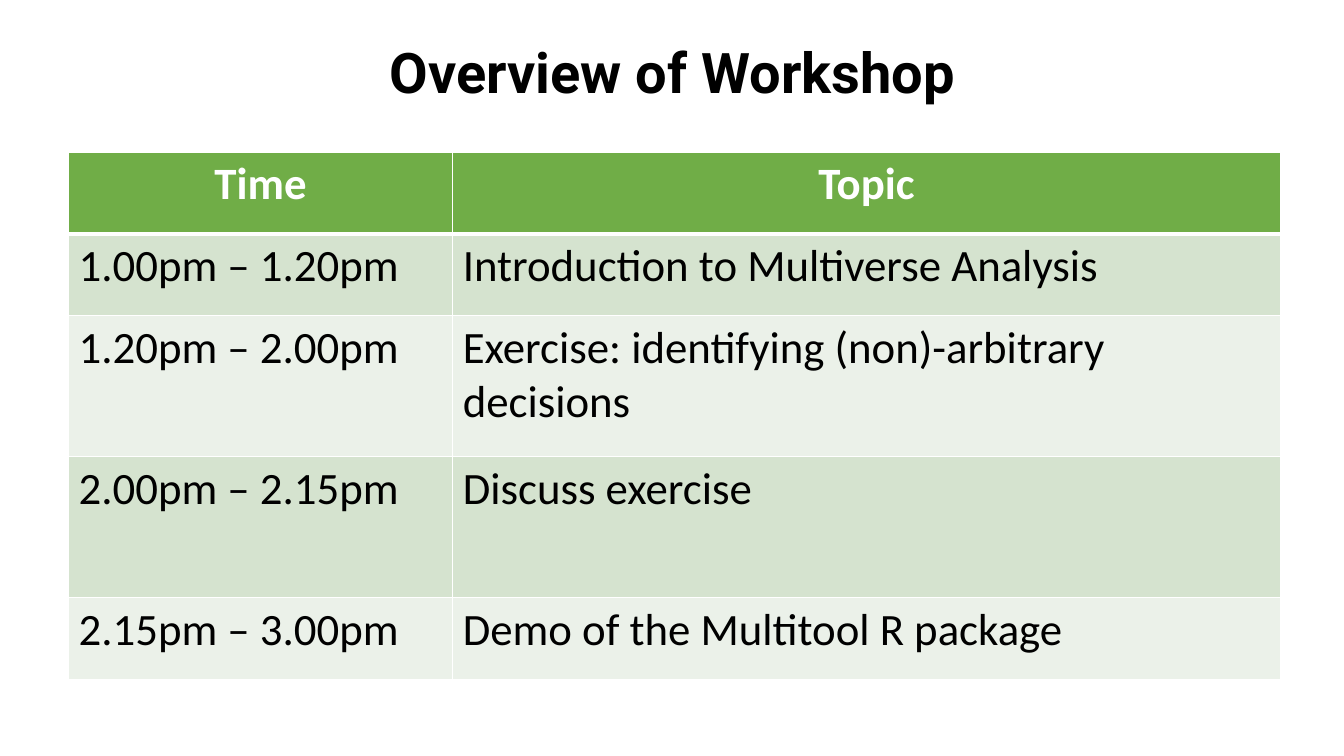
import pptx
import pptx.util
import pptx.oxml
import pptx.oxml.ns
import pptx.dml.color
import pptx.enum.text

WIDE, HIGH = 13.33, 7.5
COLORS = {"head": "70AD47", "odd": "D5E3CF", "even": "EBF1E9",
          "white": "FFFFFF", "black": "000000"}
COLS = [3.81, 8.21]
ROWS = [0.81, 0.81, 1.4, 1.4, 0.81]
PLAN = [
    ("Time", "Topic"),
    ("1.00pm – 1.20pm", "Introduction to Multiverse Analysis"),
    ("1.20pm – 2.00pm", "Exercise: identifying (non)-arbitrary decisions"),
    ("2.00pm – 2.15pm", "Discuss exercise"),
    ("2.15pm – 3.00pm", "Demo of the Multitool R package"),
]
ALIGN = pptx.enum.text.PP_ALIGN
inch = pptx.util.Inches


def paint(name):
    """Return the named colour."""
    return pptx.dml.color.RGBColor.from_string(COLORS[name])


def write(frame, text, face, size, color, bold, align):
    """Put one styled paragraph in a text frame."""
    frame.text = text
    para = frame.paragraphs[0]
    para.alignment = align
    font = para.font
    font.name, font.size, font.bold = face, pptx.util.Pt(size), bold
    font.color.rgb = paint(color)
    return para


def title(slide, text):
    """Add the centred slide title."""
    box = slide.shapes.add_textbox(
        inch(0.92), inch(0.4), inch(11.5), inch(1.45))
    box.text_frame.word_wrap = True
    para = write(box.text_frame, text, "Roboto", 40, "black", True, ALIGN.CENTER)
    para.line_spacing = 0.9


def edge(cell, side, width):
    """Add a white border to one side of a cell."""
    line = pptx.oxml.parse_xml(
        f'<a:{side} {pptx.oxml.ns.nsdecls("a")} w="{pptx.util.Pt(width)}">'
        f'<a:solidFill><a:srgbClr val="{COLORS["white"]}"/></a:solidFill>'
        f'</a:{side}>')
    cell._tc.get_or_add_tcPr().append(line)


def style(cell, text, row):
    """Fill, border and write one cell according to its row."""
    head = row == 0
    for side in ("lnL", "lnR", "lnT", "lnB"):
        thick = (head and side == "lnB") or (row == 1 and side == "lnT")
        edge(cell, side, 3 if thick else 1)
    cell.fill.solid()
    cell.fill.fore_color.rgb = paint(
        "head" if head else "odd" if row % 2 else "even")
    write(cell.text_frame, text, "Calibri", 32, "white" if head else "black",
          head, ALIGN.CENTER if head else ALIGN.LEFT)


def agenda(slide):
    """Add the table of times and topics."""
    table = slide.shapes.add_table(
        len(ROWS), len(COLS), inch(0.68), inch(1.51),
        inch(sum(COLS)), inch(sum(ROWS))).table
    for col, width in zip(table.columns, COLS):
        col.width = inch(width)
    for row, (height, texts) in enumerate(zip(ROWS, PLAN)):
        table.rows[row].height = inch(height)
        for col, text in enumerate(texts):
            style(table.cell(row, col), text, row)


def main():
    """Build and save the slide."""
    deck = pptx.Presentation()
    deck.slide_width, deck.slide_height = inch(WIDE), inch(HIGH)
    slide = deck.slides.add_slide(deck.slide_layouts[6])
    title(slide, "Overview of Workshop")
    agenda(slide)
    deck.save("out.pptx")


if __name__ == "__main__":
    main()
